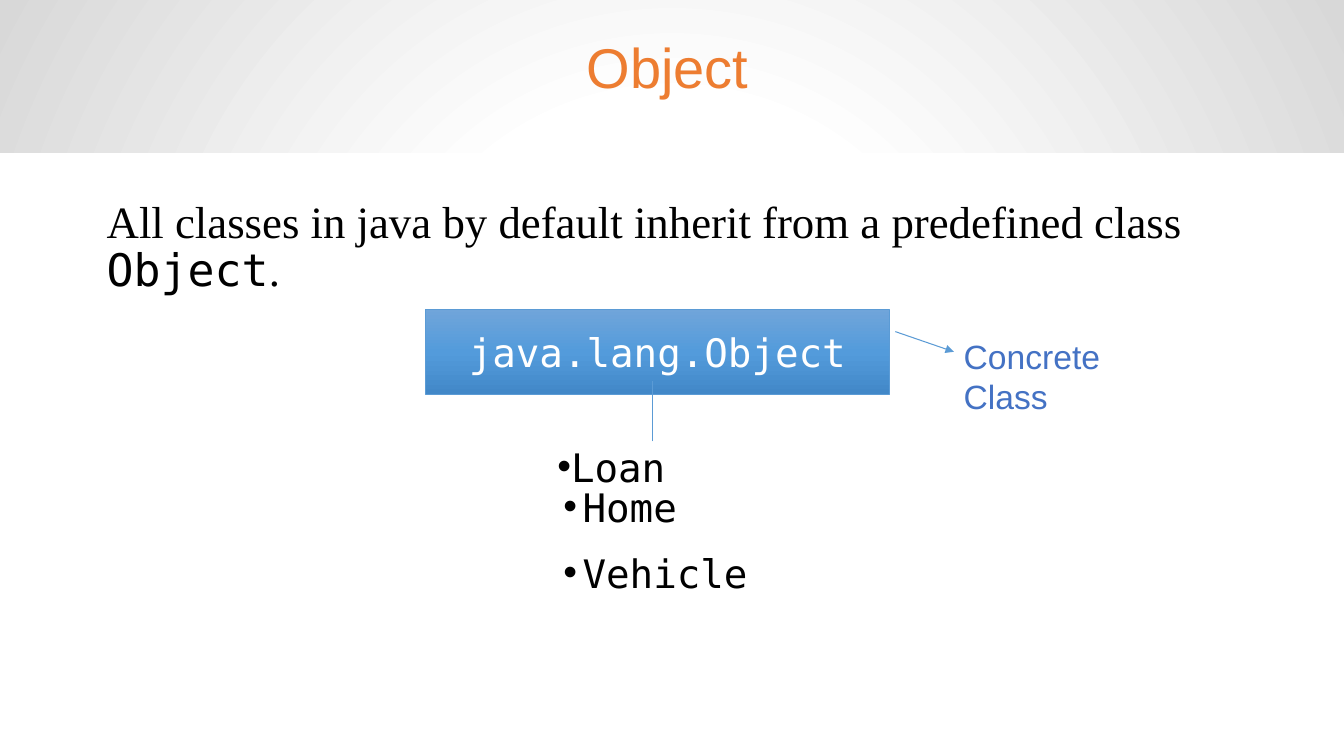
"""Build the slide on the Object class of Java."""
from lxml import etree
from pptx import Presentation
from pptx.dml.color import RGBColor
from pptx.enum.dml import MSO_THEME_COLOR
from pptx.enum.shapes import MSO_CONNECTOR, MSO_SHAPE
from pptx.enum.text import MSO_ANCHOR, MSO_AUTO_SIZE, PP_ALIGN
from pptx.oxml import parse_xml
from pptx.oxml.ns import nsdecls, qn
from pptx.util import Pt

PX = 9144
TITLE_ONLY = 5
RECTANGLE = MSO_SHAPE.RECTANGLE
STRAIGHT = MSO_CONNECTOR.STRAIGHT
TOP, MIDDLE = MSO_ANCHOR.TOP, MSO_ANCHOR.MIDDLE
LEFT, CENTER = PP_ALIGN.LEFT, PP_ALIGN.CENTER
NO_AUTOFIT = MSO_AUTO_SIZE.NONE
NO_THEME_COLOR = MSO_THEME_COLOR.NOT_THEME_COLOR

WHITE = RGBColor(0xFF, 0xFF, 0xFF)
BLACK = RGBColor(0, 0, 0)
SILVER = RGBColor(0xD8, 0xD8, 0xD8)
ORANGE = RGBColor(0xED, 0x7D, 0x31)
LABEL_BLUE = RGBColor(0x44, 0x72, 0xC4)
LINE_BLUE = RGBColor(0x5B, 0x9B, 0xD5)
BOX_TOP = RGBColor(0x70, 0xA5, 0xDA)
BOX_MIDDLE = RGBColor(0x53, 0x9B, 0xDB)
BOX_BOTTOM = RGBColor(0x42, 0x88, 0xC8)

SANS, SERIF, MONO = "Arial", "Times New Roman", "DejaVu Sans Mono"
RADIAL = ('<a:path path="circle"><a:fillToRect l="50000" t="50000" '
          'r="50000" b="50000"/></a:path>')
DOWNWARD = '<a:lin ang="5400000" scaled="0"/>'


def emu(*lengths):
    """Turn px into EMU."""
    return [length * PX for length in lengths]


def set_attributes(target, values):
    """Set each attribute of the target from a dict."""
    for name, value in values.items():
        setattr(target, name, value)


def fill_gradient(owner, stops, direction):
    """Fill a slide background or a shape with a gradient."""
    owner.fill.background()
    stop_xml = "".join(
        f'<a:gs pos="{percent * 1000}"><a:srgbClr val="{color}"/></a:gs>'
        for percent, color in stops)
    gradient = parse_xml(
        f'<a:gradFill {nsdecls("a")} rotWithShape="1">'
        f'<a:gsLst>{stop_xml}</a:gsLst>{direction}</a:gradFill>')
    return gradient


def replace_no_fill(element, gradient):
    """Put the gradient where the element has its empty fill."""
    empty_fill = next(element.iter(qn("a:noFill")))
    empty_fill.getparent().replace(empty_fill, gradient)


def prepare_frame(frame, anchor=TOP):
    """Give a text frame its wrapping, anchor and insets."""
    inset_x, inset_y = emu(10, 5)
    set_attributes(frame, {
        "word_wrap": True, "auto_size": NO_AUTOFIT, "vertical_anchor": anchor,
        "margin_left": inset_x, "margin_right": inset_x,
        "margin_top": inset_y, "margin_bottom": inset_y})


def add_words(paragraph, words, font, size, color):
    """Append a formatted run to a paragraph."""
    run = paragraph.add_run()
    run.text = words
    set_attributes(run.font, {"name": font, "size": Pt(size)})
    run.font.color.rgb = color


def add_text_frame(slide, box):
    """Add a text box and return its frame."""
    frame = slide.shapes.add_textbox(*emu(*box)).text_frame
    prepare_frame(frame)
    return frame


def add_line(slide, start, end, arrow=False):
    """Join two points with a thin line, optionally ending in an arrowhead."""
    connector = slide.shapes.add_connector(STRAIGHT, *emu(*start, *end))
    connector.line.color.rgb = LINE_BLUE
    connector.line.width = Pt(0.75)
    properties = connector.element.spPr
    if arrow:
        etree.SubElement(properties.find(qn("a:ln")), qn("a:tailEnd"),
                         type="triangle")
    etree.SubElement(properties, qn("a:effectLst"))


def add_backdrop(slide, box):
    """Shade the slide and cover the area below the heading in white."""
    gradient = fill_gradient(
        slide.background, [(0, WHITE), (35, WHITE), (100, SILVER)], RADIAL)
    replace_no_fill(slide.element, gradient)
    panel = slide.shapes.add_shape(RECTANGLE, *emu(*box))
    panel.shadow.inherit = False
    panel.fill.solid()
    panel.fill.fore_color.rgb = WHITE
    panel.line.fill.background()


def add_heading(slide, box):
    """Place the slide title."""
    heading = slide.shapes.title
    set_attributes(heading, dict(zip(("left", "top", "width", "height"),
                                     emu(*box))))
    prepare_frame(heading.text_frame)
    paragraph = heading.text_frame.paragraphs[0]
    paragraph.alignment = CENTER
    add_words(paragraph, "Object", SANS, 40, ORANGE)


def add_statement(slide, box):
    """Write the sentence on inheritance."""
    paragraph = add_text_frame(slide, box).paragraphs[0]
    set_attributes(paragraph, {"alignment": LEFT, "line_spacing": 0.9})
    for words, font in (
            ("All classes in java by default inherit from a predefined class ",
             SERIF), ("Object", MONO), (".", SERIF)):
        add_words(paragraph, words, font, 32, BLACK)


def add_root_class(slide, box):
    """Draw the root class with its label, arrow and line to subclasses."""
    left, top, width, height = box
    right, bottom = left + width, top + height
    root = slide.shapes.add_shape(RECTANGLE, *emu(*box))
    root.shadow.inherit = False
    root.line.color.rgb = LINE_BLUE
    root.line.width = Pt(0.75)
    gradient = fill_gradient(
        root, [(0, BOX_TOP), (50, BOX_MIDDLE), (100, BOX_BOTTOM)], DOWNWARD)
    replace_no_fill(root.element, gradient)
    prepare_frame(root.text_frame, MIDDLE)
    name = root.text_frame.paragraphs[0]
    name.alignment = CENTER
    add_words(name, "java.lang.Object", MONO, 28, WHITE)

    label_left = right + 64
    label = add_text_frame(slide, (label_left, top + 21, 232, 50))
    add_words(label.paragraphs[0], "Concrete Class", SANS, 24, LABEL_BLUE)
    add_line(slide, (right + 6, top + 22), (label_left, top + 42), arrow=True)
    stem = left + 225
    add_line(slide, (stem, bottom + 47), (stem, bottom - 13))


def add_subclasses(slide, box):
    """List the subclasses as bullets."""
    frame = add_text_frame(slide, box)
    for index, (name, margin, indent, gap) in enumerate((
            ("Loan", 12, -12, 0), ("Home", 25, -19, 2.8),
            ("Vehicle", 25, -19, 22))):
        paragraph = frame.add_paragraph() if index else frame.paragraphs[0]
        set_attributes(paragraph, {"alignment": LEFT, "line_spacing": 0.75,
                                   "space_before": Pt(gap)})
        add_words(paragraph, name, MONO, 28, BLACK)
        properties = paragraph._p.get_or_add_pPr()
        properties.set("marL", str(margin * PX))
        properties.set("indent", str(indent * PX))
        etree.SubElement(properties, qn("a:buFont"), typeface=SANS)
        etree.SubElement(properties, qn("a:buChar"), char="•")


def main():
    """Assemble and save the slide."""
    presentation = Presentation()
    width, height = 1333, 750
    presentation.slide_width, presentation.slide_height = emu(width, height)
    slide = presentation.slides.add_slide(
        presentation.slide_layouts[TITLE_ONLY])
    add_backdrop(slide, (0, 152, width, height - 152))
    add_heading(slide, (187, 27, 950, 77))
    add_statement(slide, (96, 193, 1138, 59))
    add_root_class(slide, (422, 307, 460, 84))
    add_subclasses(slide, (543, 446, 565, 165))
    presentation.save("out.pptx")


if __name__ == "__main__":
    main()
